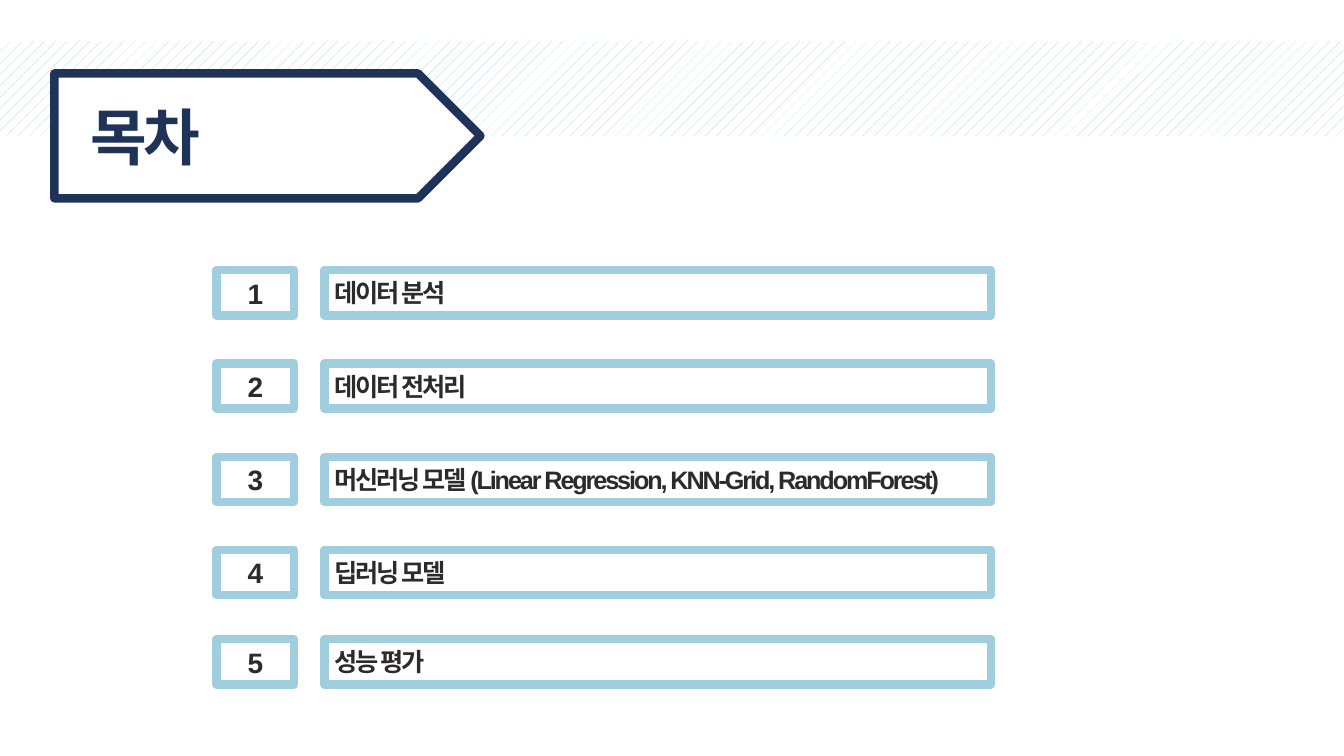
import pptx
import pptx.dml.color
import pptx.enum.dml
import pptx.enum.shapes
import pptx.enum.text
import pptx.util

Cm = pptx.util.Cm
Pt = pptx.util.Pt
Align = pptx.enum.text.PP_ALIGN
Anchor = pptx.enum.text.MSO_ANCHOR
Shape = pptx.enum.shapes.MSO_SHAPE

NAVY = "1F3359"
SKY = "A0CEDE"
INK = "2C2A2A"
WHITE = "FFFFFF"


def color(value):
    return pptx.dml.color.RGBColor.from_string(value)


def write(frame, text, size=18, ink=INK, align=Align.LEFT, anchor=Anchor.MIDDLE, spacing=0):
    frame.vertical_anchor = anchor
    para = frame.paragraphs[0]
    para.alignment = align
    span = para.add_run()
    span.text = text
    span.font.name = "Arial"
    span.font.size = Pt(size)
    span.font.bold = True
    span.font.color.rgb = color(ink)
    if spacing:
        span.font._element.set("spc", str(int(spacing * 100)))


class AgendaPage:
    border = 6

    def __init__(self, deck):
        self.page = deck.slides.add_slide(deck.slide_layouts[5])

    def shape(self, kind, left, top, width, height):
        box = self.page.shapes.add_shape(kind, Cm(left), Cm(top), Cm(width), Cm(height))
        box.shadow.inherit = False
        return box

    def hatched_band(self, top, width, height):
        band = self.shape(Shape.RECTANGLE, 0, top, width, height)
        band.fill.patterned()
        band.fill.pattern = pptx.enum.dml.MSO_PATTERN.PERCENT_10
        band.fill.fore_color.rgb = color(SKY)
        band.fill.back_color.rgb = color(WHITE)
        band.line.fill.background()

    def frame(self, kind, left, top, width, height, outline=SKY):
        box = self.shape(kind, left, top, width, height)
        box.fill.solid()
        box.fill.fore_color.rgb = color(WHITE)
        box.line.color.rgb = color(outline)
        box.line.width = Pt(self.border)
        return box

    def title(self, text, left, top, width, height):
        box = self.page.shapes.title
        box.left, box.top, box.width, box.height = Cm(left), Cm(top), Cm(width), Cm(height)
        box.text_frame.word_wrap = False
        box.text_frame.auto_size = pptx.enum.text.MSO_AUTO_SIZE.SHAPE_TO_FIT_TEXT
        write(box.text_frame, text, size=44, ink=NAVY, anchor=Anchor.TOP, spacing=-3)
        self.page.shapes._spTree.append(box._element)

    def agenda_row(self, number, text, top):
        number_box = self.frame(Shape.RECTANGLE, 5.46, top, 1.95, 1.14)
        write(number_box.text_frame, str(number), size=20, align=Align.CENTER)
        topic_box = self.frame(Shape.RECTANGLE, 8.18, top, 16.79, 1.14)
        write(topic_box.text_frame, text, spacing=-1.5)


def main():
    deck = pptx.Presentation()
    deck.slide_width = Cm(33.87)
    deck.slide_height = Cm(19.05)

    agenda = AgendaPage(deck)
    agenda.hatched_band(1.04, 33.87, 2.39)
    agenda.frame(Shape.PENTAGON, 1.37, 1.85, 10.74, 3.15, outline=NAVY)
    agenda.title("목차", 2.03, 2.36, 3.43, 2.13)

    topics = [
        ("데이터 분석", 6.81),
        ("데이터 전처리", 9.16),
        ("머신러닝 모델 (Linear Regression, KNN-Grid, RandomForest)", 11.51),
        ("딥러닝 모델", 13.86),
        ("성능 평가", 16.11),
    ]
    for number, (text, top) in enumerate(topics, start=1):
        agenda.agenda_row(number, text, top)

    deck.save("out.pptx")


if __name__ == "__main__":
    main()
